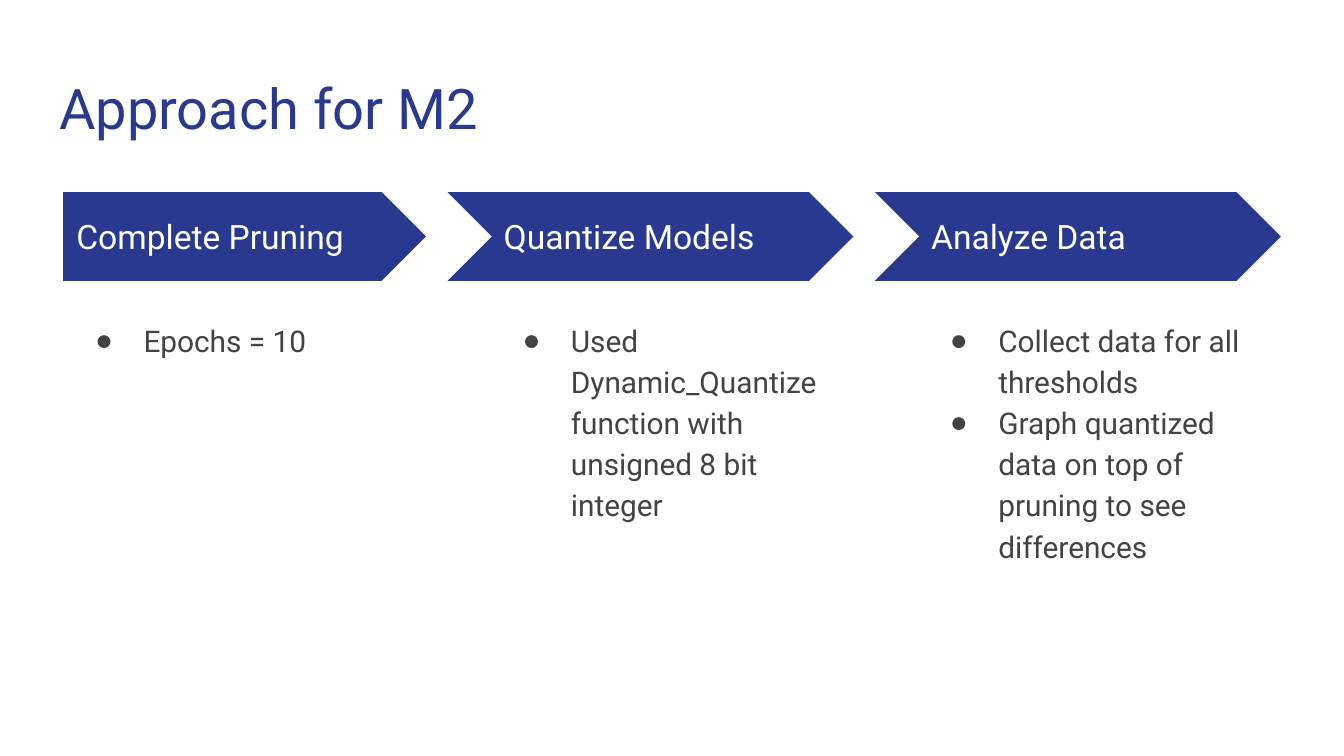
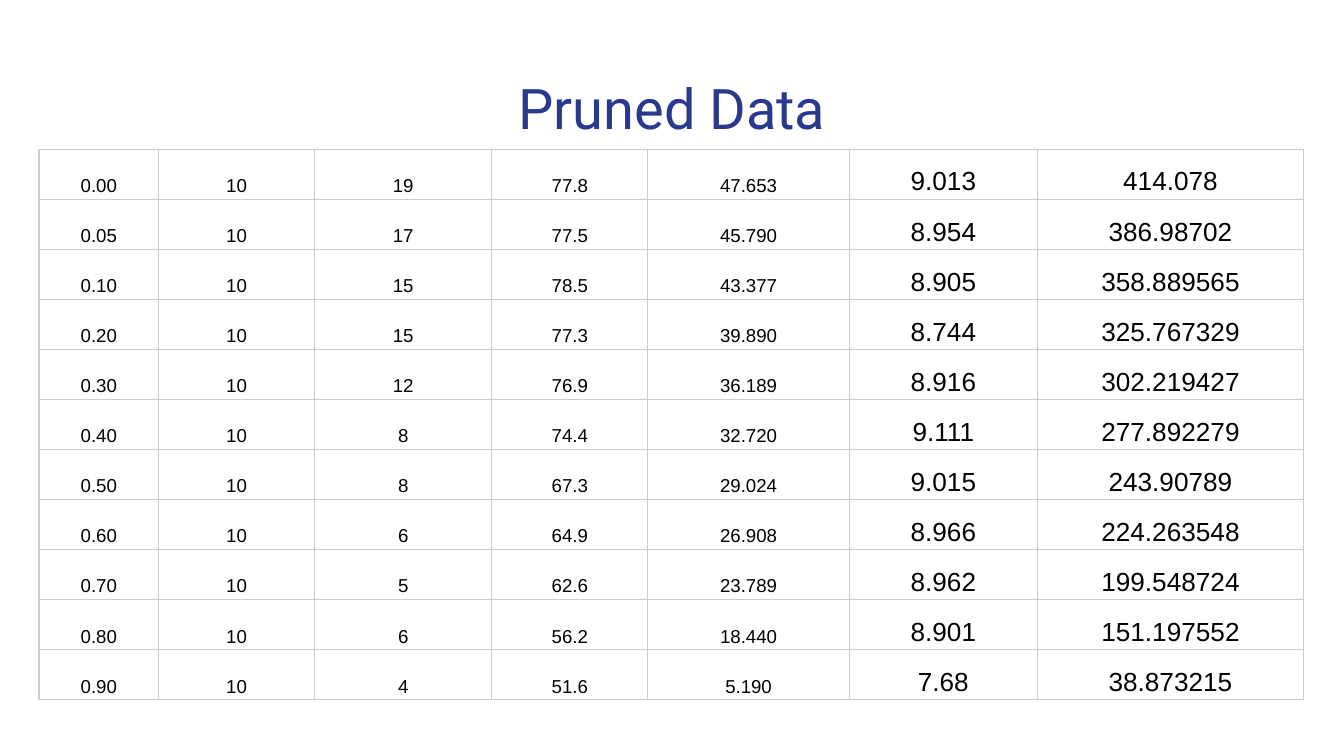
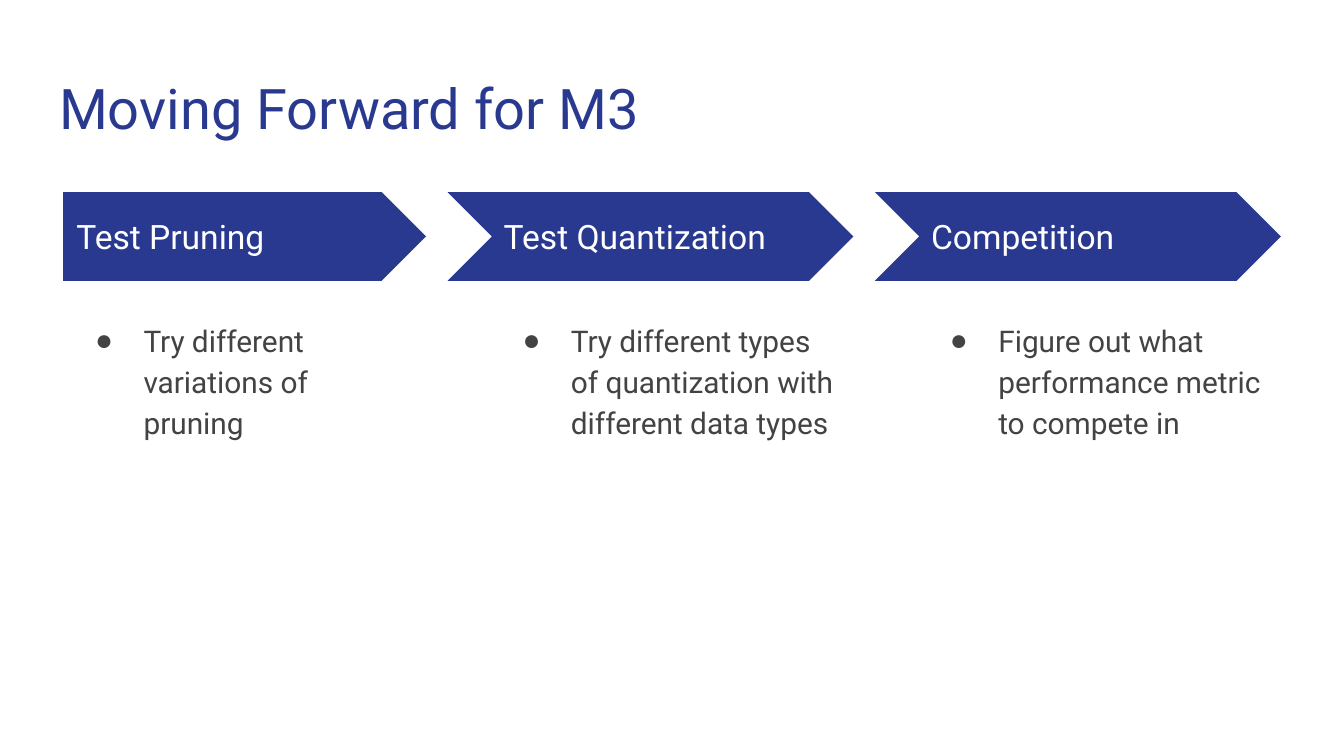
from lxml import etree
from pptx import Presentation
from pptx.dml.color import RGBColor
from pptx.enum.shapes import MSO_SHAPE
from pptx.enum.text import MSO_ANCHOR, MSO_AUTO_SIZE, PP_ALIGN
from pptx.oxml.ns import qn
from pptx.util import Inches, Pt

PENTAGON, CHEVRON = MSO_SHAPE.PENTAGON, MSO_SHAPE.CHEVRON
TOP, MIDDLE, BOTTOM = MSO_ANCHOR.TOP, MSO_ANCHOR.MIDDLE, MSO_ANCHOR.BOTTOM
LEFT, CENTER = PP_ALIGN.LEFT, PP_ALIGN.CENTER
NO_FIT = MSO_AUTO_SIZE.NONE

NAVY, GREY, WHITE, BLACK, RULE = "2A3990", "434343", "FFFFFF", "000000", "CCCCCC"
HEAD_FONT, DATA_FONT = "Roboto", "Arial"

STEPS_BOX = (0.47, 1.43, 9.06, 3.73)
TABLE_BOX = (0.29, 1.11, 9.41, 4.1)
STEP_PITCH, STEP_W, NOTCH, BAND_H = 3.18, 2.7, 0.32, 0.66

M2_STEPS = [
    ("Complete Pruning", ["Epochs = 10"]),
    ("Quantize Models", ["Used Dynamic_Quantize function with unsigned 8 bit integer"]),
    ("Analyze Data", ["Collect data for all thresholds",
                      "Graph quantized data on top of pruning to see differences"]),
]
M3_STEPS = [
    ("Test Pruning", ["Try different variations of pruning"]),
    ("Test Quantization", ["Try different types of quantization with different data types"]),
    ("Competition", ["Figure out what performance metric to compete in"]),
]
COLUMN_WIDTHS = [0.89, 1.16, 1.32, 1.16, 1.5, 1.4, 1.98]
COLUMN_SIZES = [10] * 5 + [14] * 2
PRUNED_ROWS = [
    ("0.00", "10", "19", "77.8", "47.653", "9.013", "414.078"),
    ("0.05", "10", "17", "77.5", "45.790", "8.954", "386.98702"),
    ("0.10", "10", "15", "78.5", "43.377", "8.905", "358.889565"),
    ("0.20", "10", "15", "77.3", "39.890", "8.744", "325.767329"),
    ("0.30", "10", "12", "76.9", "36.189", "8.916", "302.219427"),
    ("0.40", "10", "8", "74.4", "32.720", "9.111", "277.892279"),
    ("0.50", "10", "8", "67.3", "29.024", "9.015", "243.90789"),
    ("0.60", "10", "6", "64.9", "26.908", "8.966", "224.263548"),
    ("0.70", "10", "5", "62.6", "23.789", "8.962", "199.548724"),
    ("0.80", "10", "6", "56.2", "18.440", "8.901", "151.197552"),
    ("0.90", "10", "4", "51.6", "5.190", "7.68", "38.873215"),
]


def rgb(value):
    """Turn a hex string into a colour."""
    return RGBColor.from_string(value)


def inches(box):
    """Turn a box of numbers into lengths."""
    return [Inches(v) for v in box]


def add_run(p, text, size, color, font=HEAD_FONT):
    """Add one formatted run to a paragraph."""
    r = p.add_run()
    r.text = text
    r.font.size, r.font.name = Pt(size), font
    r.font.color.rgb = rgb(color)


def set_frame(tf, anchor):
    """Give a text frame its wrapping, insets and anchor."""
    tf.word_wrap, tf.auto_size, tf.vertical_anchor = True, NO_FIT, anchor
    tf.margin_left = tf.margin_right = tf.margin_top = tf.margin_bottom = Inches(0.1)


def add_bullet(p):
    """Indent a paragraph and give it a round bullet."""
    p.line_spacing = 1.15
    pPr = p._p.get_or_add_pPr()
    pPr.set("marL", str(Inches(0.5)))
    pPr.set("indent", str(Inches(-0.36)))
    color = etree.SubElement(pPr, qn("a:buClr"))
    etree.SubElement(color, qn("a:srgbClr"), val=GREY)
    etree.SubElement(pPr, qn("a:buFont"), typeface=DATA_FONT)
    etree.SubElement(pPr, qn("a:buChar"), char="●")


def add_titled_slide(prs, title, align=LEFT):
    """Add a white title-only slide with the shared title style."""
    s = prs.slides.add_slide(prs.slide_layouts[5])
    s.background.fill.solid()
    s.background.fill.fore_color.rgb = rgb(WHITE)
    sp = s.shapes.title
    sp.left, sp.top, sp.width, sp.height = inches((0.34, 0.45, 9.32, 0.66))
    set_frame(sp.text_frame, TOP)
    p = sp.text_frame.paragraphs[0]
    p.alignment = align
    add_run(p, title, 30, NAVY)
    return s


def add_step(s, box, heading, points, first):
    """Add an arrow band with its heading and the bullets below."""
    x, y, w, h = box
    notch = 0 if first else NOTCH
    band = s.shapes.add_shape(PENTAGON if first else CHEVRON,
                              *inches((x - notch, y, w + notch, BAND_H)))
    band.shadow.inherit = False
    band.fill.solid()
    band.fill.fore_color.rgb = rgb(NAVY)
    band.line.fill.background()

    tf = s.shapes.add_textbox(*inches((x, y + 0.16, 2.47, 0.34))).text_frame
    set_frame(tf, MIDDLE)
    add_run(tf.paragraphs[0], heading, 18, WHITE)

    tf = s.shapes.add_textbox(*inches((x, y + 0.83, w, h - 0.83))).text_frame
    set_frame(tf, TOP)
    for i, point in enumerate(points):
        p = tf.add_paragraph() if i else tf.paragraphs[0]
        add_bullet(p)
        add_run(p, point, 16, GREY)


def add_steps_slide(prs, title, steps, box=STEPS_BOX):
    """Add a slide with a row of process steps."""
    s = add_titled_slide(prs, title)
    x, y, _, h = box
    for i, (heading, points) in enumerate(steps):
        add_step(s, (x + i * STEP_PITCH, y, STEP_W, h), heading, points, i == 0)


def add_borders(cell):
    """Rule all four sides of a table cell."""
    tcPr = cell._tc.get_or_add_tcPr()
    for side in ("lnL", "lnR", "lnT", "lnB"):
        ln = etree.SubElement(tcPr, qn(f"a:{side}"), w=str(Pt(0.75)))
        fill = etree.SubElement(ln, qn("a:solidFill"))
        etree.SubElement(fill, qn("a:srgbClr"), val=RULE)


def fill_cell(cell, text, size):
    """Format a data cell and write its value."""
    add_borders(cell)
    cell.fill.solid()
    cell.fill.fore_color.rgb = rgb(WHITE)
    cell.vertical_anchor = BOTTOM
    cell.margin_left = cell.margin_right = Inches(0.03)
    cell.margin_top = cell.margin_bottom = Inches(0.02)
    p = cell.text_frame.paragraphs[0]
    p.alignment, p.line_spacing = CENTER, 1.15
    add_run(p, text, size, BLACK, DATA_FONT)


def add_table_slide(prs, title, rows, box=TABLE_BOX):
    """Add a slide with a ruled data table."""
    s = add_titled_slide(prs, title, CENTER)
    table = s.shapes.add_table(len(rows), len(COLUMN_WIDTHS), *inches(box)).table
    table.first_row = table.horz_banding = False
    for column, width in zip(table.columns, COLUMN_WIDTHS):
        column.width = Inches(width)
    for i, values in enumerate(rows):
        for j, (value, size) in enumerate(zip(values, COLUMN_SIZES)):
            fill_cell(table.cell(i, j), value, size)


def main():
    """Build the widescreen deck and save it."""
    prs = Presentation()
    prs.slide_width = Inches(10)
    prs.slide_height = Inches(10) * 9 // 16
    add_steps_slide(prs, "Approach for M2", M2_STEPS)
    add_table_slide(prs, "Pruned Data", PRUNED_ROWS)
    add_steps_slide(prs, "Moving Forward for M3", M3_STEPS)
    prs.save("out.pptx")


if __name__ == "__main__":
    main()
